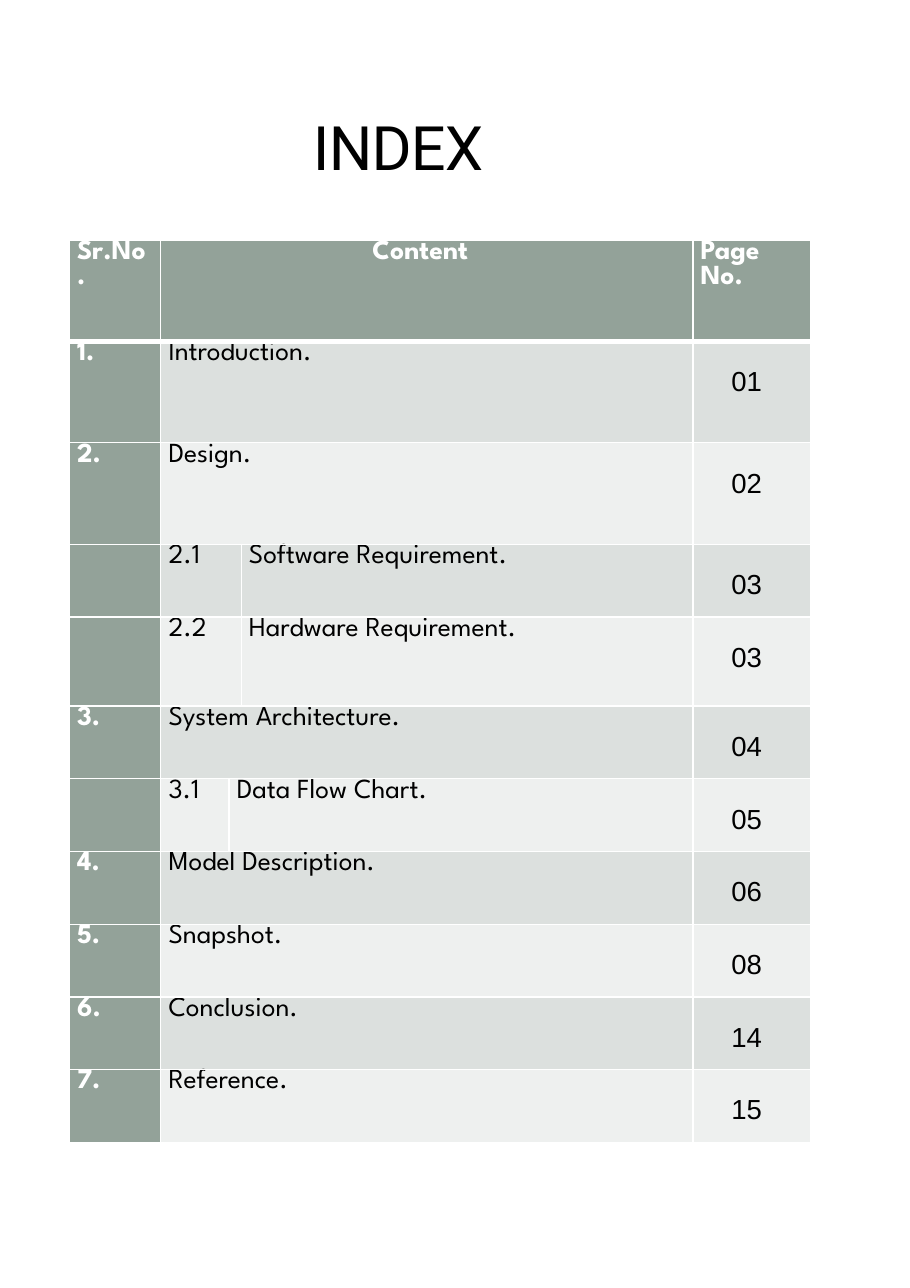
from lxml import etree
from pptx import Presentation
from pptx.dml.color import RGBColor
from pptx.enum import text
from pptx.oxml import ns
from pptx.util import Inches, Pt

WHITE = RGBColor(0xFF, 0xFF, 0xFF)
BLACK = RGBColor(0, 0, 0)
SAGE = RGBColor(0x93, 0xA2, 0x99)
BANDS = [RGBColor(0xDC, 0xE0, 0xDE), RGBColor(0xEE, 0xF0, 0xEF)]

COLUMN_WIDTHS = [0.83, 0.62, 0.11, 4.1, 1.07]
ROW_HEIGHTS = [0.92] * 3 + [0.66, 0.81] + [0.66] * 6
PAGE_COLUMN = 4
ENTRIES = [
    ("1.", "", "Introduction.", "01"),
    ("2.", "", "Design.", "02"),
    ("", "2.1", "Software Requirement.", "03"),
    ("", "2.2", "Hardware Requirement.", "03"),
    ("3.", "", "System Architecture.", "04"),
    ("", "3.1", "Data Flow Chart.", "05"),
    ("4.", "", "Model Description.", "06"),
    ("5.", "", "Snapshot.", "08"),
    ("6.", "", "Conclusion.", "14"),
    ("7.", "", "Reference.", "15"),
]
SUBTOPIC_COLUMNS = {"": 1, "2.1": 3, "2.2": 3, "3.1": 2}


def add_border(cell, side, width):
    line = etree.SubElement(cell._tc.get_or_add_tcPr(), ns.qn(f"a:ln{side}"), w=str(Pt(width)))
    fill = etree.SubElement(line, ns.qn("a:solidFill"))
    etree.SubElement(fill, ns.qn("a:srgbClr"), val=str(WHITE))


def write(cell, wording, color, bold=False, font="League Spartan", left=0.07, top=0):
    cell.text_frame.text = wording
    cell.margin_left, cell.margin_top = Inches(left), Inches(top)
    for run in cell.text_frame.paragraphs[0].runs:
        run.font.name = font
        run.font.size = Pt(18)
        run.font.bold = bold
        run.font.color.rgb = color


prs = Presentation()
prs.slide_width, prs.slide_height = Inches(8.26), Inches(11.69)
slide = prs.slides.add_slide(prs.slide_layouts[5])

title = slide.shapes.title
title.left, title.top, title.width, title.height = map(Inches, (2.74, 0.94, 2.58, 0.77))
title.text_frame.text = "INDEX"
title.text_frame.vertical_anchor = text.MSO_ANCHOR.TOP
heading = title.text_frame.paragraphs[0]
heading.alignment = text.PP_ALIGN.LEFT
heading_run = heading.runs[0]
heading_run.font.name = "Roboto"
heading_run.font.size = Pt(40)
heading_run.font.color.rgb = BLACK
heading_run.font._element.set("spc", "-50")

index = slide.shapes.add_table(
    len(ROW_HEIGHTS), len(COLUMN_WIDTHS), Inches(0.63), Inches(2.18),
    Inches(sum(COLUMN_WIDTHS)), Inches(sum(ROW_HEIGHTS))).table
index.first_col = True
for column, width in zip(index.columns, COLUMN_WIDTHS):
    column.width = Inches(width)
for row, height in zip(index.rows, ROW_HEIGHTS):
    row.height = Inches(height)

for r, row in enumerate(index.rows):
    for c, cell in enumerate(row.cells):
        for side in "LRTB":
            under_header = (r, side) in [(0, "B"), (1, "T")]
            add_border(cell, side, 3 if under_header else 1)
        cell.fill.solid()
        cell.fill.fore_color.rgb = SAGE if r == 0 or c == 0 else BANDS[(r - 1) % 2]
        cell.margin_left = cell.margin_right = Inches(0.07)
        cell.margin_top = cell.margin_bottom = 0

index.cell(0, 1).merge(index.cell(0, 3))
write(index.cell(0, 0), "Sr.No.", WHITE, bold=True)
write(index.cell(0, 1), "Content", WHITE, bold=True, left=1.92)
write(index.cell(0, PAGE_COLUMN), "Page No.", WHITE, bold=True)

for r, (number, subnumber, topic, page) in enumerate(ENTRIES, 1):
    topic_column = SUBTOPIC_COLUMNS[subnumber]
    if topic_column == 3:
        index.cell(r, 1).merge(index.cell(r, 2))
    else:
        index.cell(r, topic_column).merge(index.cell(r, 3))
    if number:
        write(index.cell(r, 0), number, WHITE, bold=True)
    if subnumber:
        write(index.cell(r, 1), subnumber, BLACK)
    write(index.cell(r, topic_column), topic, BLACK)
    write(index.cell(r, PAGE_COLUMN), page, BLACK, font="Arial", left=0.35, top=0.23)

prs.save("out.pptx")
